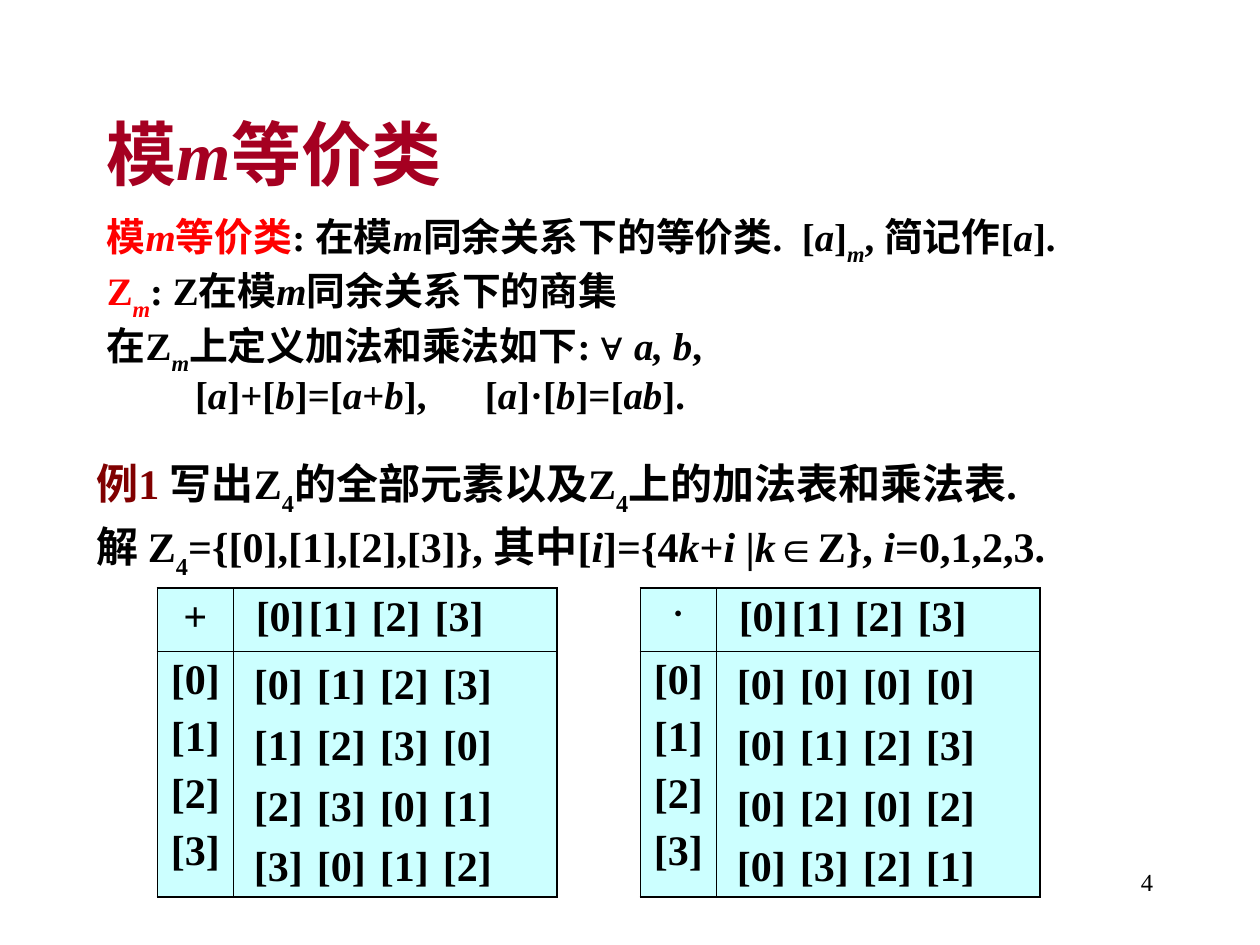
"""Build a slide on equivalence classes modulo m, with the operation tables of Z4."""
from pptx import Presentation
from pptx.dml.color import RGBColor
from pptx.enum.text import MSO_ANCHOR, MSO_AUTO_SIZE, PP_ALIGN
from pptx.oxml.ns import qn
from pptx.util import Inches, Pt
from lxml import etree

BLACK = RGBColor(0x00, 0x00, 0x00)
RED = RGBColor(0xFF, 0x00, 0x00)
MAROON = RGBColor(0x80, 0x00, 0x00)
CRIMSON = RGBColor(0xA5, 0x00, 0x21)
PALE_CYAN = RGBColor(0xCC, 0xFF, 0xFF)
CENTER, RIGHT, JUSTIFY = PP_ALIGN.CENTER, PP_ALIGN.RIGHT, PP_ALIGN.JUSTIFY
MIDDLE, GROW = MSO_ANCHOR.MIDDLE, MSO_AUTO_SIZE.SHAPE_TO_FIT_TEXT

UNIT = Inches(10) // 120
MODULUS = 4
CLASSES = [f"[{i}]" for i in range(MODULUS)]
CLASS_STEP = 0.556
OUTER, INNER = 1.08, 0.45
STYLES = {
    "i": {"italic": True},
    "r": {"color": RED},
    "d": {"color": MAROON},
    "s": {"baseline": "-30000"},
    "a": {"name": "Arial"},
}

DEFINITIONS = [
    [("模", "r"), ("m", "ri"), ("等价类", "r"), (": 在模", ""), ("m", "i"),
     ("同余关系下的等价类.  [", ""), ("a", "i"), ("]", ""), ("m", "is"),
     (", 简记作[", ""), ("a", "i"), ("].", "")],
    [("Z", "r"), ("m", "ris"), (": Z在模", ""), ("m", "i"), ("同余关系下的商集", "")],
    [("在Z", ""), ("m", "is"), ("上定义加法和乘法如下: ", ""), ("∀ ", "a"),
     ("a, b", "i"), (",", "")],
]
OPERATIONS = [
    ("[", ""), ("a", "i"), ("]+[", ""), ("b", "i"), ("]=[", ""), ("a", "i"),
    ("+", ""), ("b", "i"), ("],\t[", ""), ("a", "i"), ("]·[", ""), ("b", "i"),
    ("]=[", ""), ("ab", "i"), ("].", ""),
]
EXAMPLE = [("例1 ", "d"), ("写出Z", ""), ("4", "s"), ("的全部元素以及Z", ""),
           ("4", "s"), ("上的加法表和乘法表.", "")]
SOLUTION = [("解 Z", ""), ("4", "s"), ("={[0],[1],[2],[3]}, 其中[", ""), ("i", "i"),
            ("]={4", ""), ("k", "i"), ("+", ""), ("i ", "i"), ("|", ""), ("k", "i"),
            ("∈Z}, ", ""), ("i", "i"), ("=0,1,2,3.", "")]


def add_run(p, text, style="", **base):
    """Add a run whose format is the base format changed by style letters."""
    fmt = {"name": "Times New Roman", "size": Pt(24), "bold": True, "color": BLACK, **base}
    for letter in style:
        fmt.update(STYLES[letter])
    r = p.add_run()
    r.text = text
    r.font.color.rgb = fmt.pop("color")
    if "baseline" in fmt:
        r.font._element.set("baseline", fmt.pop("baseline"))
    for key, value in fmt.items():
        setattr(r.font, key, value)


def write(tf, paragraphs, font=None, indent=(0, 0), tabs=(), **layout):
    """Append paragraphs, each a list of runs, to a text frame."""
    for runs in paragraphs:
        p = tf.paragraphs[0] if not tf.paragraphs[0].runs else tf.add_paragraph()
        for key, value in layout.items():
            setattr(p, key, value)
        pPr = p._p.get_or_add_pPr()
        for key, inches in zip(("marL", "indent"), indent):
            pPr.set(key, str(Inches(inches)))
        if tabs:
            tab_list = etree.SubElement(pPr, qn("a:tabLst"))
            for stop in tabs:
                etree.SubElement(tab_list, qn("a:tab"), pos=str(Inches(stop)), algn="l")
        for text, style in runs:
            add_run(p, text, style, **(font or {}))


def add_text(s, box, paragraphs, frame=None, **layout):
    """Add a wrapping text box placed in grid units."""
    tf = s.shapes.add_textbox(*(round(v * UNIT) for v in box)).text_frame
    for key, value in {"word_wrap": True, **(frame or {})}.items():
        setattr(tf, key, value)
    write(tf, paragraphs, **layout)
    return tf


def class_stops(start):
    """Return the tab stops of the classes after the first."""
    return [start + CLASS_STEP * i for i in range(1, MODULUS)]


def set_borders(cell, row, col):
    """Draw heavy outer and light inner borders on a cell of a 2 by 2 table."""
    tcPr = cell._tc.get_or_add_tcPr()
    outer = {"L": col == 0, "R": col == 1, "T": row == 0, "B": row == 1}
    for side, is_outer in outer.items():
        width = Pt(OUTER if is_outer else INNER)
        ln = etree.SubElement(tcPr, qn(f"a:ln{side}"), w=str(width))
        fill = etree.SubElement(ln, qn("a:solidFill"))
        etree.SubElement(fill, qn("a:srgbClr"), val=str(BLACK))


def add_operation_table(s, left, symbol, size, operation, width):
    """Add the framed table of one operation on the classes."""
    top = 56
    frame = s.shapes.add_table(2, 2, left * UNIT, top * UNIT, Inches(3.17), Inches(2.45))
    table = frame.table
    for lines, sizes, key in ((table.columns, (0.6, 2.57), "width"),
                              (table.rows, (0.5, 1.95), "height")):
        for line, inches in zip(lines, sizes):
            setattr(line, key, Inches(inches))
    for row in range(2):
        for col in range(2):
            cell = table.cell(row, col)
            set_borders(cell, row, col)
            cell.fill.solid()
            cell.fill.fore_color.rgb = PALE_CYAN
    gap = {"space_before": Pt(6)}
    write(table.cell(0, 0).text_frame, [[(symbol, "")]], font={"size": Pt(size)},
          alignment=CENTER, space_before=Pt(size / 4))
    write(table.cell(0, 1).text_frame, [[("\t".join(CLASSES), "")]],
          indent=(0, 0.08), tabs=class_stops(0.08), **gap)
    write(table.cell(1, 0).text_frame, [[(c, "")] for c in CLASSES], alignment=CENTER, **gap)
    results = [[("\t".join(CLASSES[operation(i, j) % MODULUS] for j in range(MODULUS)), "")]
               for i in range(MODULUS)]
    add_text(s, (left + 8, top + 6, width, 23.4), results, {"auto_size": GROW},
             tabs=class_stops(0), **gap)


def main():
    """Build and save the slide."""
    prs = Presentation()
    prs.slide_width, prs.slide_height = 120 * UNIT, 90 * UNIT
    s = prs.slides.add_slide(prs.slide_layouts[6])

    add_text(s, (86, 82, 25, 6), [[("4", "")]], alignment=RIGHT,
             font={"size": Pt(14), "bold": False})
    add_text(s, (9, 8, 102, 13), [[("模", ""), ("m", "i"), ("等价类", "")]],
             {"vertical_anchor": MIDDLE}, font={"size": Pt(40), "color": CRIMSON})
    body = {"font": {"size": Pt(22.2)}, "line_spacing": 0.8, "space_before": Pt(6)}
    tf = add_text(s, (9, 20, 102, 23), DEFINITIONS, indent=(0.38, -0.38),
                  alignment=JUSTIFY, **body)
    write(tf, [OPERATIONS], indent=(0, 0.7), tabs=[2.93], **body)

    add_operation_table(s, 15, "+", 24, lambda a, b: a + b, 29)
    add_operation_table(s, 61, "·", 20, lambda a, b: a * b, 32)
    add_text(s, (8, 43, 104, 7), [EXAMPLE], {"auto_size": GROW}, space_before=Pt(6))
    add_text(s, (8, 49, 99, 7), [SOLUTION], {"auto_size": GROW}, space_before=Pt(15))
    prs.save("out.pptx")


if __name__ == "__main__":
    main()
